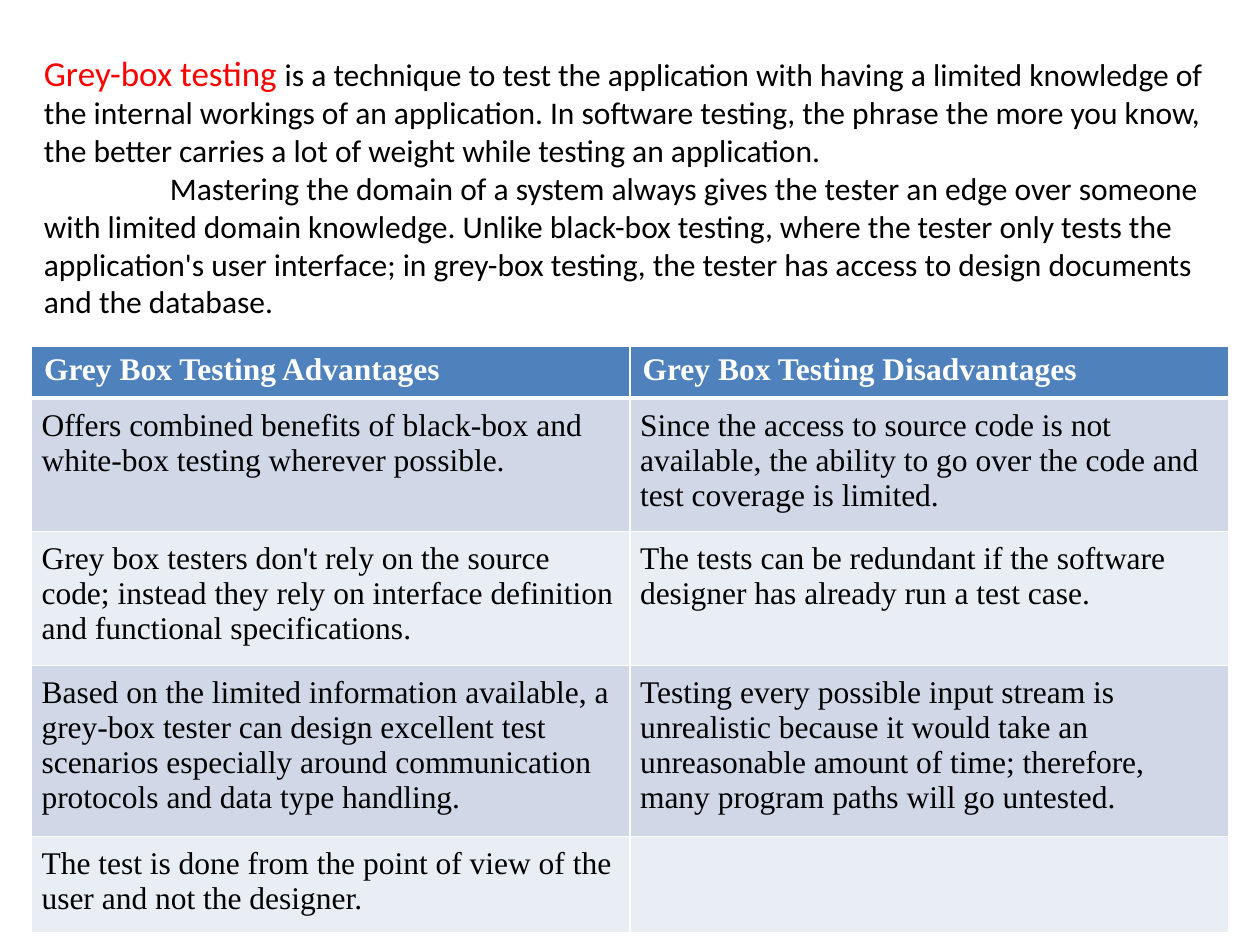
"""Builds a slide on grey-box testing with its advantages and disadvantages."""
from lxml import etree
from pptx import Presentation
from pptx.dml.color import RGBColor
from pptx.enum.text import MSO_ANCHOR
from pptx.oxml.ns import qn
from pptx.util import Inches, Pt

MIDDLE = MSO_ANCHOR.MIDDLE
BLACK, WHITE, RED = "000000", "FFFFFF", "FF0000"
HEADER_FILL, BAND_FILLS = "4F81BD", ("E9EDF4", "D0D8E8")

INTRO = [
    [("Grey-box testing ", RED, 20),
     ("is a technique to test the application with having a limited knowledge of the "
      "internal workings of an application. In software testing, the phrase the more you "
      "know, the better carries a lot of weight while testing an application.", BLACK, 18)],
    [("Mastering the domain of a system always gives the tester an edge over someone with "
      "limited domain knowledge. Unlike black-box testing, where the tester only tests the "
      "application's user interface; in grey-box testing, the tester has access to design "
      "documents and the database.", BLACK, 18)],
]
ROWS = [
    (0.41, "Grey Box Testing Advantages", "Grey Box Testing Disadvantages"),
    (0.99, "Offers combined benefits of black-box and white-box testing wherever possible.",
     "Since the access to source code is not available, the ability to go over the code "
     "and test coverage is limited."),
    (1, "Grey box testers don't rely on the source code; instead they rely on interface "
     "definition and functional specifications.",
     "The tests can be redundant if the software designer has already run a test case."),
    (1.27, "Based on the limited information available, a grey-box tester can design "
     "excellent test scenarios especially around communication protocols and data type "
     "handling.",
     "Testing every possible input stream is unrealistic because it would take an "
     "unreasonable amount of time; therefore, many program paths will go untested."),
    (0.71, "The test is done from the point of view of the user and not the designer.", ""),
]


def add_run(p, text, color, **font):
    r = p.add_run()
    r.text = text
    r.font.color.rgb = RGBColor.from_string(color)
    for name, value in font.items():
        setattr(r.font, name, value)


def set_borders(cell, widths):
    tcPr = cell._tc.get_or_add_tcPr()
    for i, (side, width) in enumerate(widths.items()):
        ln = etree.Element(qn(f"a:{side}"), w=str(Pt(width)))
        fill = etree.SubElement(ln, qn("a:solidFill"))
        etree.SubElement(fill, qn("a:srgbClr"), val=WHITE)
        tcPr.insert(i, ln)


prs = Presentation()
prs.slide_width, prs.slide_height = Inches(10), Inches(7.5)
s = prs.slides.add_slide(prs.slide_layouts[6])

sp = s.shapes.add_textbox(Inches(0.25), Inches(1), Inches(9.42), Inches(1.25))
tf = sp.text_frame
frame_format = {"word_wrap": True, "vertical_anchor": MIDDLE, "margin_bottom": Inches(0.35)}
for name, value in frame_format.items():
    setattr(tf, name, value)
for i, runs in enumerate(INTRO):
    p = tf.add_paragraph() if i else tf.paragraphs[0]
    p._p.get_or_add_pPr().set("indent", str(Inches(i)))
    for text, color, size in runs:
        add_run(p, text, color, name="Calibri", size=Pt(size))

table_height = sum(row[0] for row in ROWS)
table = s.shapes.add_table(len(ROWS), 2, Inches(0.25), Inches(2.75),
                           Inches(9.5), Inches(table_height)).table
for i, (height, *texts) in enumerate(ROWS):
    header = i == 0
    table.rows[i].height = Inches(height)
    for j, text in enumerate(texts):
        cell = table.cell(i, j)
        cell.fill.solid()
        cell.fill.fore_color.rgb = RGBColor.from_string(
            HEADER_FILL if header else BAND_FILLS[i % 2])
        set_borders(cell, {"lnL": 1, "lnR": 1, "lnT": 3 if i == 1 else 1,
                           "lnB": 3 if header else 1})
        if not header:
            for side in ("left", "top", "right", "bottom"):
                setattr(cell, f"margin_{side}", Inches(0.08))
        if text:
            add_run(cell.text_frame.paragraphs[0], text, WHITE if header else BLACK,
                    name="Times New Roman", size=Pt(18), bold=header)

prs.save("out.pptx")
